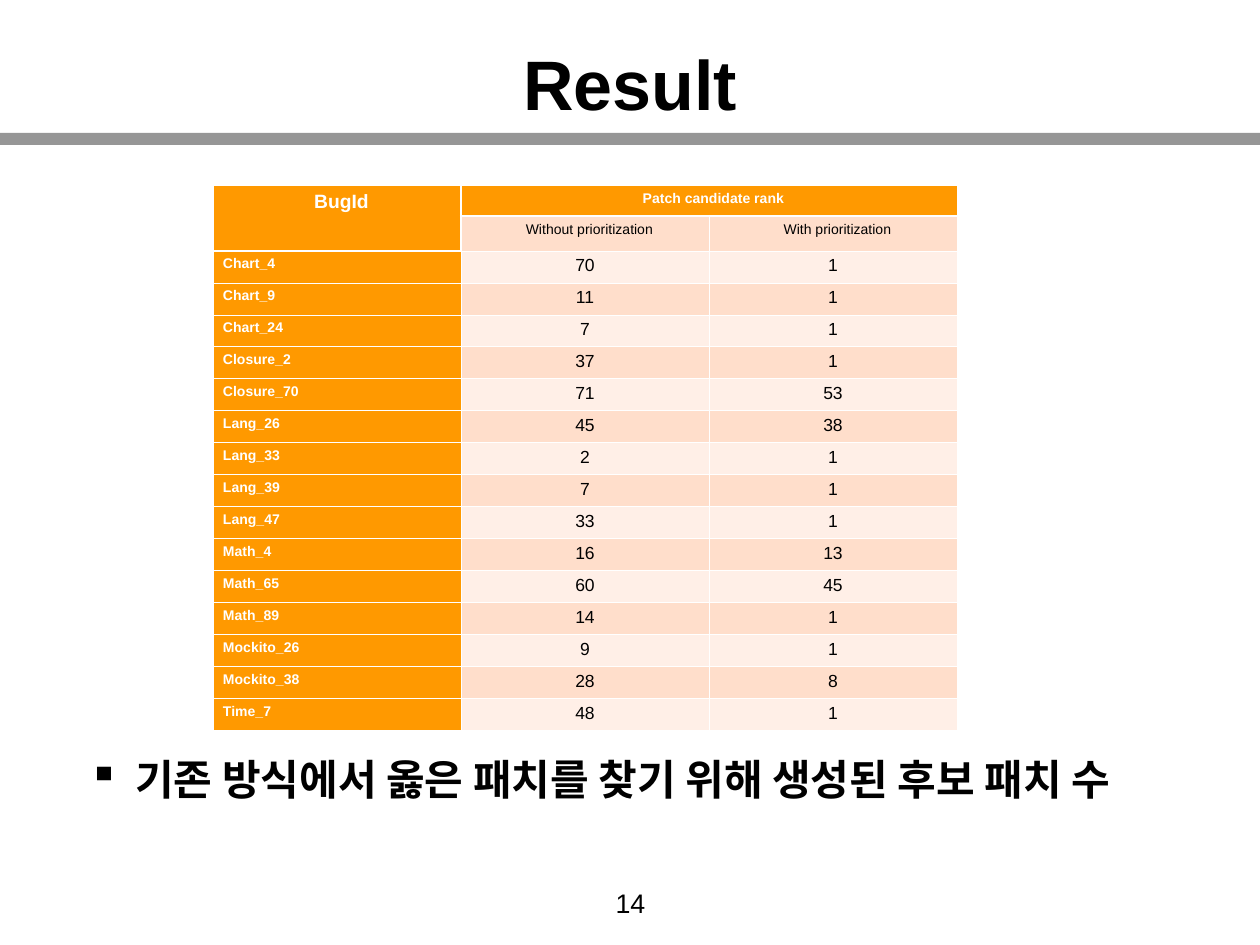
from lxml import etree
from pptx import Presentation
from pptx.dml.color import RGBColor
from pptx.enum.shapes import MSO_SHAPE
from pptx.enum.text import MSO_ANCHOR, PP_ALIGN
from pptx.oxml import parse_xml
from pptx.oxml.ns import nsdecls, qn
from pptx.util import Pt

PX = 914400 / 126
ORANGE, PEACH, PALE = "FF9900", "FFDECB", "FFEFE7"
WHITE, BLACK, GRAY = "FFFFFF", "000000", "969696"
THIN, THICK = 0.45, 1.47


def px(*lengths):
    return [round(length * PX) for length in lengths]


def write(frame, text, size, color=BLACK, bold=False, align=PP_ALIGN.CENTER):
    frame.word_wrap = True
    paragraph = frame.paragraphs[0]
    paragraph.text = text
    paragraph.alignment = align
    paragraph.font.name = "Arial"
    paragraph.font.size = Pt(size)
    paragraph.font.bold = bold
    paragraph.font.color.rgb = RGBColor.from_string(color)
    return paragraph


presentation = Presentation()
presentation.slide_width, presentation.slide_height = px(1260, 945)
slide = presentation.slides.add_slide(presentation.slide_layouts[6])

bar = slide.shapes.add_shape(MSO_SHAPE.RECTANGLE, *px(0, 133, 1260, 12))
bar.shadow.inherit = False
bar.fill.solid()
bar.fill.fore_color.rgb = RGBColor.from_string(GRAY)
bar.line.fill.background()

title = slide.shapes.add_textbox(*px(0, 30, 1260, 105))
title.text_frame.vertical_anchor = MSO_ANCHOR.MIDDLE
write(title.text_frame, "Result", 40, bold=True)

rows = [
    ("BugId", "Patch candidate rank", ""),
    ("", "Without prioritization", "With prioritization"),
    ("Chart_4", "70", "1"),
    ("Chart_9", "11", "1"),
    ("Chart_24", "7", "1"),
    ("Closure_2", "37", "1"),
    ("Closure_70", "71", "53"),
    ("Lang_26", "45", "38"),
    ("Lang_33", "2", "1"),
    ("Lang_39", "7", "1"),
    ("Lang_47", "33", "1"),
    ("Math_4", "16", "13"),
    ("Math_65", "60", "45"),
    ("Math_89", "14", "1"),
    ("Mockito_26", "9", "1"),
    ("Mockito_38", "28", "8"),
    ("Time_7", "48", "1"),
]
table = slide.shapes.add_table(len(rows), 3, *px(213, 185, 744, 530)).table
for column in table.columns:
    column.width = px(248)[0]
for row in table.rows:
    row.height = px(31)[0]
table.rows[1].height = px(34)[0]
table.cell(0, 0).merge(table.cell(1, 0))
table.cell(0, 1).merge(table.cell(0, 2))

for r, values in enumerate(rows):
    for c, value in enumerate(values):
        cell = table.cell(r, c)
        cell.margin_left, cell.margin_right, cell.margin_top, cell.margin_bottom = px(10, 10, 6, 6)
        heading = r == 0 or c == 0
        size = 11 if (r, c) == (0, 0) else 8 if heading or r == 1 else 10
        align = PP_ALIGN.JUSTIFY if c == 0 and r > 1 else PP_ALIGN.CENTER
        paragraph = write(cell.text_frame, value, size, WHITE if heading else BLACK, heading, align)
        if r < 2:
            paragraph.space_before = Pt(1.1)
            paragraph._p.get_or_add_pPr().set("marL", str(px(9)[0]))
        else:
            paragraph.line_spacing = 0.95
            paragraph.space_after = Pt(6)

        fill = ORANGE if heading else PEACH if r % 2 else PALE
        cell.fill.solid()
        cell.fill.fore_color.rgb = RGBColor.from_string(fill)

        in_header = r < 2
        borders = {
            "lnL": THICK if in_header and c == 1 else THIN,
            "lnR": THICK if in_header and c == 0 else THIN,
            "lnT": THICK if r == 1 or (r == 2 and c == 0) else THIN,
            "lnB": THICK if r == 0 or (r == 1 and c == 0) else THIN,
        }
        for position, (tag, width) in enumerate(borders.items()):
            line = parse_xml(f'<a:{tag} {nsdecls("a")} w="{Pt(width)}"/>')
            solid = etree.SubElement(line, qn("a:solidFill"))
            etree.SubElement(solid, qn("a:srgbClr")).set("val", WHITE)
            cell._tc.get_or_add_tcPr().insert(position, line)

page_number = slide.shapes.add_textbox(*px(95, 880, 1071, 44))
write(page_number.text_frame, "14", 15.3)

note = slide.shapes.add_textbox(*px(76, 747, 1181, 63))
paragraph = write(note.text_frame, "기존 방식에서 옳은 패치를 찾기 위해 생성된 후보 패치 수", 24,
                  bold=True, align=PP_ALIGN.LEFT)
properties = paragraph._p.get_or_add_pPr()
indent = px(47)[0]
properties.set("marL", str(indent))
properties.set("indent", str(-indent))
bullet = parse_xml(f'<a:buChar {nsdecls("a")} char="▪"/>')
properties.insert_element_before(bullet, "a:tabLst", "a:defRPr", "a:extLst")

presentation.save("out.pptx")
